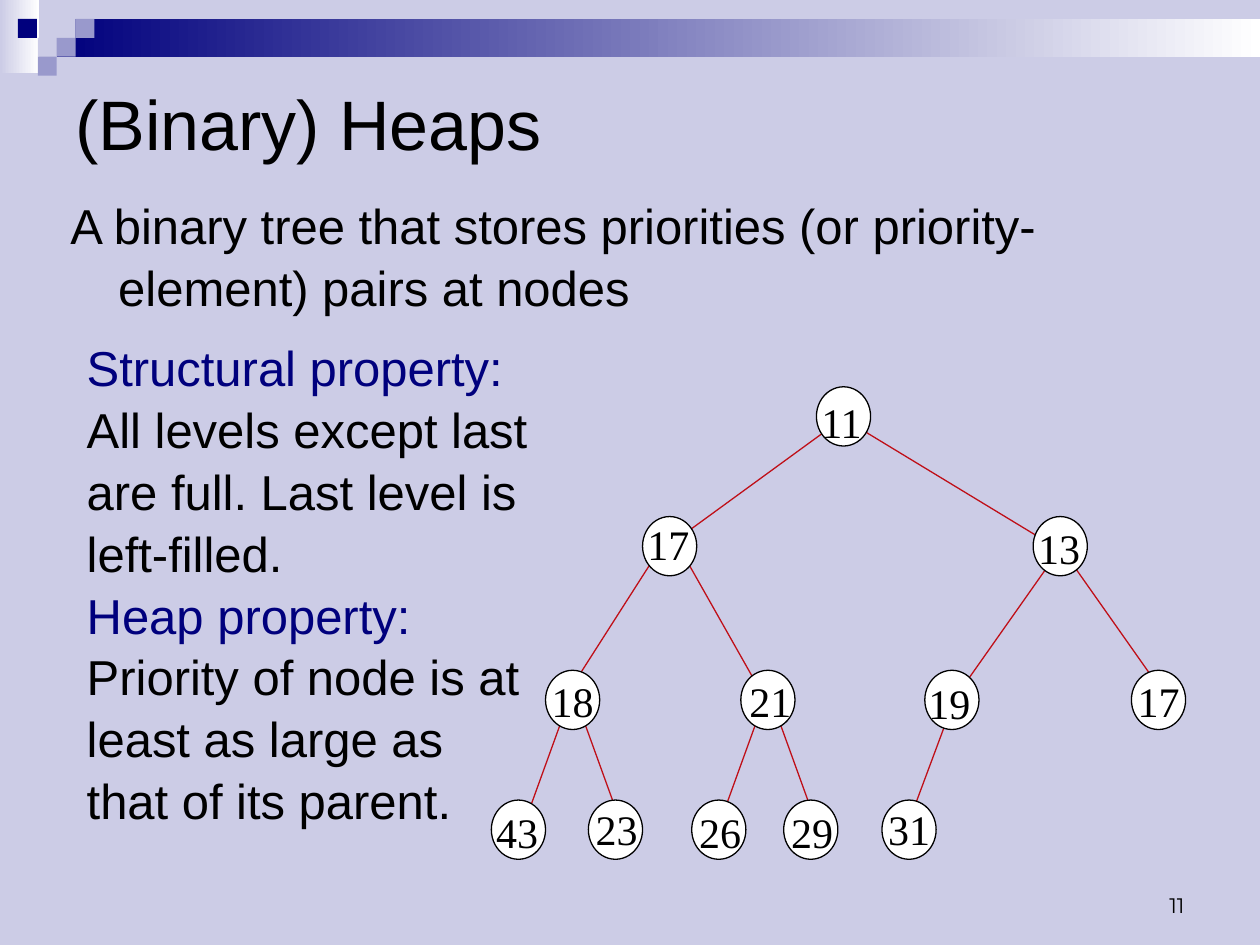
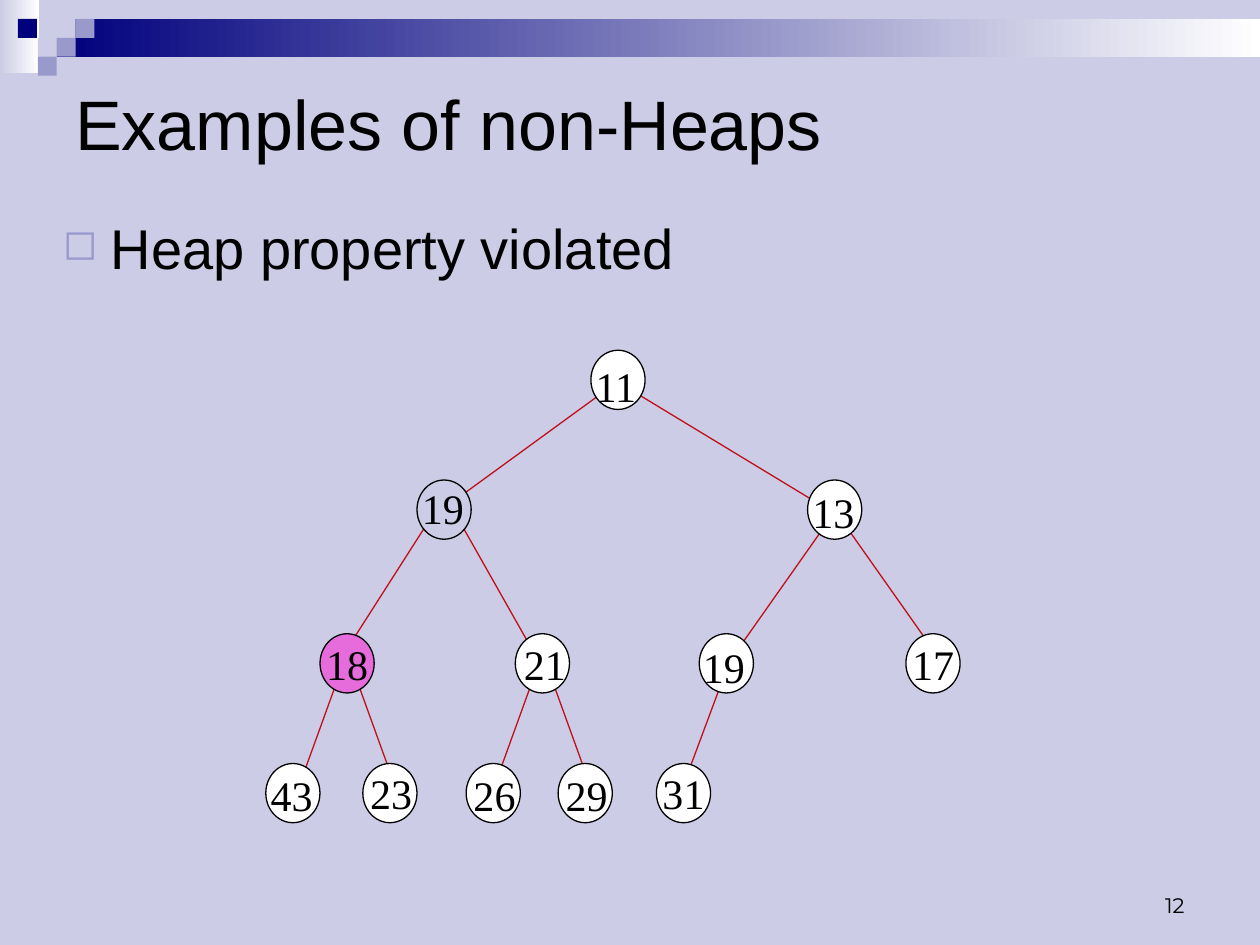
"""Build two slides on binary heaps, each with a title, text and a tree."""
from lxml import etree
from pptx import Presentation, util as u
from pptx.dml.color import RGBColor
from pptx.enum import shapes, text
from pptx.oxml.ns import qn

W, H = 10, 7.5
CELL = 0.15
PALE, MID, NAVY, WHITE, BLACK = "CCCCE6", "9999CC", "00007D", "FFFFFF", "000000"
RED, PINK = "BF0F18", "E66CDC"


def hue(code):
    return RGBColor.from_string(code)


def put(slide, box, paras, size, face="Arial", hang=0, mark=None, wrap=True, gap=1,
        anchor=text.MSO_ANCHOR.TOP, align=text.PP_ALIGN.LEFT):
    frame = slide.shapes.add_textbox(*map(u.Inches, box)).text_frame
    for key, val in {"word_wrap": wrap, "vertical_anchor": anchor}.items():
        setattr(frame, key, val)
    for n, runs in enumerate(paras):
        para = frame.add_paragraph() if n else frame.paragraphs[0]
        props = para._p.get_or_add_pPr()
        if hang:
            props.set("marL", str(u.Inches(hang)))
            props.set("indent", str(-u.Inches(hang)))
        if mark:
            tint = etree.SubElement(props, qn("a:buClr"))
            etree.SubElement(tint, qn("a:srgbClr"), val=MID)
            etree.SubElement(props, qn("a:buSzPct"), val="75000")
            etree.SubElement(props, qn("a:buChar"), char=mark)
        for key, val in {"alignment": align, "line_spacing": gap}.items():
            setattr(para, key, val)
        for words, tone in runs:
            run = para.add_run()
            run.text = words
            for key, val in {"name": face, "size": u.Pt(size)}.items():
                setattr(run.font, key, val)
            run.font.color.rgb = hue(tone)


bands = [((0, 0, 0.31, 0.58), PALE), ((3 * CELL, CELL, W - 3 * CELL, 2 * CELL), NAVY)]
tiles = [(3, 1, PALE), (4, 0, PALE), (4, 1, MID), (2, 2, PALE),
         (0.95, 1, NAVY), (3, 2, MID), (2, 3, MID)]

# Each node: value, x from root, label shift, line start x, line end x, line drop
heap = [
    (11, 0, (-0.06, 0.03), 0, 0, 0),
    (17, -1.38, (-0.06, -0.03), 0.17, 0.26, 0),
    (13, 1.72, (-0.06, 0), 0.26, 0.09, 0),
    (18, -2.15, (-0.05, -0.01), 0.18, 0.17, 0),
    (21, -0.6, (-0.03, -0.01), 0.26, 0.17, 0),
    (19, 0.86, (-0.07, 0.01), 0.26, 0.26, 0),
    (17, 2.5, (-0.05, -0.01), 0.18, 0.26, 0),
    (43, -2.58, (-0.06, 0), 0.17, 0.26, 0),
    (23, -1.81, (-0.04, -0.02), 0.26, 0.26, 0),
    (26, -0.99, (-0.04, 0), 0.17, 0.22, 0),
    (29, -0.26, (-0.04, 0), 0.26, 0.26, 0),
    (31, 0.52, (-0.05, -0.02), 0.18, 0.17, 0.1),
]
rows = [0, 1.03, 2.25, 3.28]
starts = [0, 0.28, 0.19, 0.28]

pages = [
    dict(title="(Binary) Heaps", num=11, root=(6.48, 3.07), swap={}, fills={}, texts=[
        dict(box=(0.46, 1.48, 8.48, 1.04), size=28, hang=0.38, gap=1.05, paras=[
            [("A binary tree that stores priorities (or priority-element) pairs at nodes", BLACK)]]),
        dict(box=(0.59, 2.61, 3.73, 4.31), size=28, gap=1.05, paras=[
            [("Structural property:", NAVY),
             (" All levels except last are full. Last level is left-filled.", BLACK)],
            [("Heap property:", NAVY),
             (" Priority of node is at least as large as that of its parent.", BLACK)]])]),
    dict(title="Examples of non-Heaps", num=12, root=(4.69, 2.78), swap={1: 19},
         fills={1: PALE, 3: PINK}, texts=[
        dict(box=(0.4, 1.62, 5.59, 1.36), size=32, hang=0.38, mark="◻", gap=1.05,
             paras=[[("Heap property violated", BLACK)]])]),
]

deck = Presentation()
deck.slide_width, deck.slide_height = u.Inches(W), u.Inches(H)

for page in pages:
    slide = deck.slides.add_slide(deck.slide_layouts[6])
    slide.background.fill.solid()
    slide.background.fill.fore_color.rgb = hue(PALE)

    for box, tone in bands:
        band = slide.shapes.add_shape(shapes.MSO_SHAPE.RECTANGLE, *map(u.Inches, box))
        band.shadow.inherit = False
        band.line.fill.background()
        band.fill.gradient()
        band.fill.gradient_angle = 180
        for stop, code in zip(band.fill.gradient_stops, (WHITE, tone)):
            stop.color.rgb = hue(code)
    for col, row, tone in tiles:
        tile = slide.shapes.add_shape(shapes.MSO_SHAPE.RECTANGLE, *map(
            u.Inches, (col * CELL, row * CELL, CELL, CELL)))
        tile.shadow.inherit = False
        tile.line.fill.background()
        tile.fill.solid()
        tile.fill.fore_color.rgb = hue(tone)

    put(slide, (W * 0.05, 0.5, W * 0.9, 0.94), [[(page["title"], BLACK)]], 40,
        anchor=text.MSO_ANCHOR.MIDDLE)
    for block in page["texts"]:
        put(slide, **block)

    left, top = page["root"]
    spots = [(left + node[1], top + rows[(n + 1).bit_length() - 1])
             for n, node in enumerate(heap)]

    for n in range(1, len(heap)):
        start, end, drop = heap[n][3:]
        px, py = spots[(n - 1) // 2]
        cx, cy = spots[n]
        rise = starts[(n + 1).bit_length() - 1] + drop
        edge = slide.shapes.add_connector(shapes.MSO_CONNECTOR.STRAIGHT, *map(
            u.Inches, (px + start, py + rise, cx + end, cy + 0.19 + drop)))
        edge.line.color.rgb = hue(RED)
        edge.line.width = u.Pt(0.75)
        etree.SubElement(edge._element.spPr, qn("a:effectLst"))

    for n, (x, y) in enumerate(spots):
        ball = slide.shapes.add_shape(shapes.MSO_SHAPE.OVAL, *map(u.Inches, (x, y, 0.43, 0.47)))
        ball.shadow.inherit = False
        ball.fill.solid()
        ball.fill.fore_color.rgb = hue(page["fills"].get(n, WHITE))
        ball.line.color.rgb = hue(BLACK)
        ball.line.width = u.Pt(0.75)
    for n, (x, y) in enumerate(spots):
        dx, dy = heap[n][2]
        put(slide, (x + dx, y + dy, 0.53, 0.5),
            [[(str(page["swap"].get(n, heap[n][0])), BLACK)]], 24,
            "Times New Roman", wrap=False)

    put(slide, (7.17, 6.83, 2.33, 0.5), [[(str(page["num"]), BLACK)]], 12, "Montserrat",
        anchor=text.MSO_ANCHOR.BOTTOM, align=text.PP_ALIGN.RIGHT)

deck.save("out.pptx")
